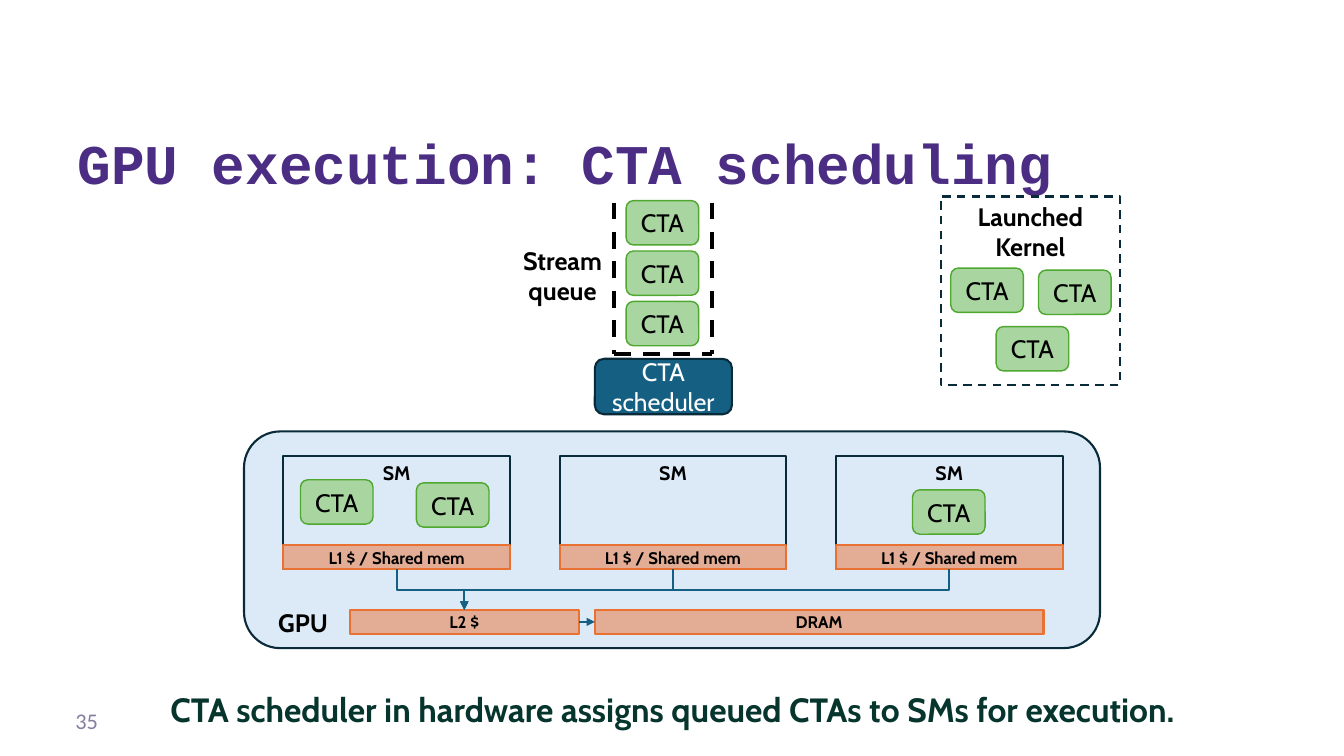
from lxml import etree
from pptx import Presentation
from pptx.dml.color import RGBColor
from pptx.enum.dml import MSO_LINE
from pptx.enum.shapes import MSO_CONNECTOR, MSO_SHAPE
from pptx.enum.text import MSO_ANCHOR, PP_ALIGN
from pptx.oxml.ns import qn
from pptx.util import Inches, Pt

RECTANGLE = MSO_SHAPE.RECTANGLE
ROUNDED = MSO_SHAPE.ROUNDED_RECTANGLE
STRAIGHT = MSO_CONNECTOR.STRAIGHT
ELBOW = MSO_CONNECTOR.ELBOW
DASH = MSO_LINE.DASH
TOP, MIDDLE, BOTTOM = MSO_ANCHOR.TOP, MSO_ANCHOR.MIDDLE, MSO_ANCHOR.BOTTOM
LEFT, CENTER = PP_ALIGN.LEFT, PP_ALIGN.CENTER
LEFT_SIDE, RIGHT_SIDE = 1, 3

COLORS = {
    "title": "4B2E83",
    "takeaway": "06352E",
    "number": "867EA3",
    "black": "000000",
    "white": "FFFFFF",
    "outline": "092A39",
    "gpu": "DCEAF7",
    "memory": "E97132",
    "cta": "A8D5A0",
    "cta_line": "4EA72E",
    "teal": "156082",
}

SM_LEFTS = [2.81 + 2.74 * column for column in range(3)]
SM_TOP, SM_WIDTH, SM_HEIGHT = 4.52, 2.25, 1.13
MEMORY_HEIGHT = 0.24
L2_LEFT, L2_TOP, L2_WIDTH = 3.47, 6.05, 2.27
QUEUE_LEFT, QUEUE_RIGHT, QUEUE_TOP, QUEUE_BOTTOM = 6.09, 7.06, 2.01, 3.51
CTA_POSITIONS = [
    (9.43, 2.66), (10.3, 2.68), (9.88, 3.24),  # launched kernel
    *[(6.21, 1.99 + 0.5 * row) for row in range(3)],  # stream queue
    (2.98, 4.76), (4.13, 4.79), (9.05, 4.86),  # running on the SMs
]


def color(name):
    return RGBColor.from_string(COLORS[name])


def write_text(shape, text, size=18, font="Cabin", fill="black", bold=False,
               align=CENTER, anchor=MIDDLE, wrap=True, spacing=None):
    """Fill a shape with text, one paragraph for each line."""
    frame = shape.text_frame
    frame.word_wrap = wrap
    frame.vertical_anchor = anchor
    frame.text = text
    for paragraph in frame.paragraphs:
        paragraph.alignment = align
        paragraph.line_spacing = spacing
        paragraph.font.size = Pt(size)
        paragraph.font.name = font
        paragraph.font.bold = bold
        paragraph.font.color.rgb = color(fill)


def add_text(slide, box, text, **text_format):
    write_text(slide.shapes.add_textbox(*map(Inches, box)), text, **text_format)


def add_box(slide, kind, box, fill=None, line="outline", width=1.5, dash=None,
            alpha=None, text=None, **text_format):
    shape = slide.shapes.add_shape(kind, *map(Inches, box))
    shape.shadow.inherit = False
    if fill:
        shape.fill.solid()
        shape.fill.fore_color.rgb = color(fill)
    else:
        shape.fill.background()
    if alpha:
        fill_color = shape._element.spPr.find(qn("a:solidFill"))[0]
        etree.SubElement(fill_color, qn("a:alpha"), val=str(alpha * 1000))
    shape.line.color.rgb = color(line)
    shape.line.width = Pt(width)
    if dash:
        shape.line.dash_style = dash
    if text:
        write_text(shape, text, **text_format)
    return shape


def add_memory(slide, left, top, width, text):
    return add_box(slide, RECTANGLE, (left, top, width, MEMORY_HEIGHT),
                   fill="memory", line="memory", alpha=50,
                   text=text, size=12, bold=True)


def add_line(slide, kind, ends, line="teal", width=1.5, dash=None, arrow=True):
    connector = slide.shapes.add_connector(kind, *map(Inches, ends))
    connector.line.color.rgb = color(line)
    connector.line.width = Pt(width)
    if dash:
        connector.line.dash_style = dash
    if arrow:
        etree.SubElement(connector.line._get_or_add_ln(), qn("a:tailEnd"),
                         type="triangle")
    etree.SubElement(connector._element.spPr, qn("a:effectLst"))
    return connector


def add_down_elbow(slide, x1, y1, x2, y2):
    """Bent arrow that leaves downwards, turns sideways and arrives downwards."""
    drop, run = y2 - y1, abs(x2 - x1)
    left = (x1 + x2 - drop) / 2
    top = (y1 + y2 - run) / 2
    connector = add_line(slide, ELBOW, (left, top, left + drop, top + run))
    transform = connector._element.spPr.find(qn("a:xfrm"))
    if x2 < x1:
        transform.set("rot", str(90 * 60000))
    else:
        transform.set("rot", str(270 * 60000))
        transform.set("flipH", "1")


def add_sm(slide, left):
    add_box(slide, RECTANGLE, (left, SM_TOP, SM_WIDTH, SM_HEIGHT))
    add_memory(slide, left, SM_TOP + SM_HEIGHT - MEMORY_HEIGHT, SM_WIDTH,
               "L1 $ / Shared mem")
    add_text(slide, (left + SM_WIDTH / 2 - 0.24, SM_TOP, 0.48, 0.34), "SM",
             size=14, bold=True, anchor=TOP, wrap=False)


def add_gpu(slide):
    add_box(slide, ROUNDED, (2.42, 4.28, 8.49, 2.15), fill="gpu")
    add_text(slide, (2.65, 5.98, 0.71, 0.4), "GPU", bold=True, anchor=TOP,
             wrap=False)
    for left in SM_LEFTS:
        add_sm(slide, left)
    l2_cache = add_memory(slide, L2_LEFT, L2_TOP, L2_WIDTH, "L2 $")
    dram = add_memory(slide, 5.9, L2_TOP, 4.45, "DRAM")
    for left in SM_LEFTS:
        add_down_elbow(slide, left + SM_WIDTH / 2, SM_TOP + SM_HEIGHT,
                       L2_LEFT + L2_WIDTH / 2, L2_TOP)
    middle = L2_TOP + MEMORY_HEIGHT / 2
    link = add_line(slide, STRAIGHT, (L2_LEFT + L2_WIDTH, middle, 5.9, middle))
    link.begin_connect(l2_cache, RIGHT_SIDE)
    link.end_connect(dram, LEFT_SIDE)


def add_stream_queue(slide):
    for ends in [
        (QUEUE_LEFT, QUEUE_TOP, QUEUE_LEFT, QUEUE_BOTTOM),
        (QUEUE_RIGHT, QUEUE_TOP, QUEUE_RIGHT, QUEUE_BOTTOM),
        (QUEUE_LEFT, QUEUE_BOTTOM, QUEUE_RIGHT, QUEUE_BOTTOM),
    ]:
        add_line(slide, STRAIGHT, ends, line="black", width=3, dash=DASH,
                 arrow=False)
    add_text(slide, (5.06, 2.38, 1.04, 0.71), "Stream\nqueue", bold=True,
             anchor=TOP, wrap=False)
    add_box(slide, ROUNDED, (5.9, 3.56, 1.36, 0.55), fill="teal",
            text="CTA scheduler")
    scheduler = slide.shapes[-1]
    scheduler.text_frame.paragraphs[0].font.color.rgb = color("white")


def main():
    presentation = Presentation()
    presentation.slide_width = Inches(13.33)
    presentation.slide_height = Inches(7.5)
    slide = presentation.slides.add_slide(presentation.slide_layouts[6])

    add_text(slide, (0.67, 0.54, 11.92, 1.45), "GPU execution: CTA scheduling",
             size=40, font="Courier New", fill="title", bold=True, align=LEFT,
             anchor=BOTTOM)
    add_text(slide, (0.92, 6.62, 11.5, 0.87),
             "CTA scheduler in hardware assigns queued CTAs to SMs for execution.",
             size=24, fill="takeaway", bold=True, spacing=0.9)
    add_gpu(slide)
    add_stream_queue(slide)
    add_box(slide, RECTANGLE, (9.33, 1.95, 1.78, 1.87), dash=DASH,
            text="Launched Kernel", bold=True, anchor=TOP)
    for left, top in CTA_POSITIONS:
        add_box(slide, ROUNDED, (left, top, 0.72, 0.44), fill="cta",
                line="cta_line", width=1, text="CTA")
    add_text(slide, (0.65, 6.95, 3, 0.4), "35", size=16, font="Calibri",
             fill="number", align=LEFT)
    presentation.save("out.pptx")


if __name__ == "__main__":
    main()
